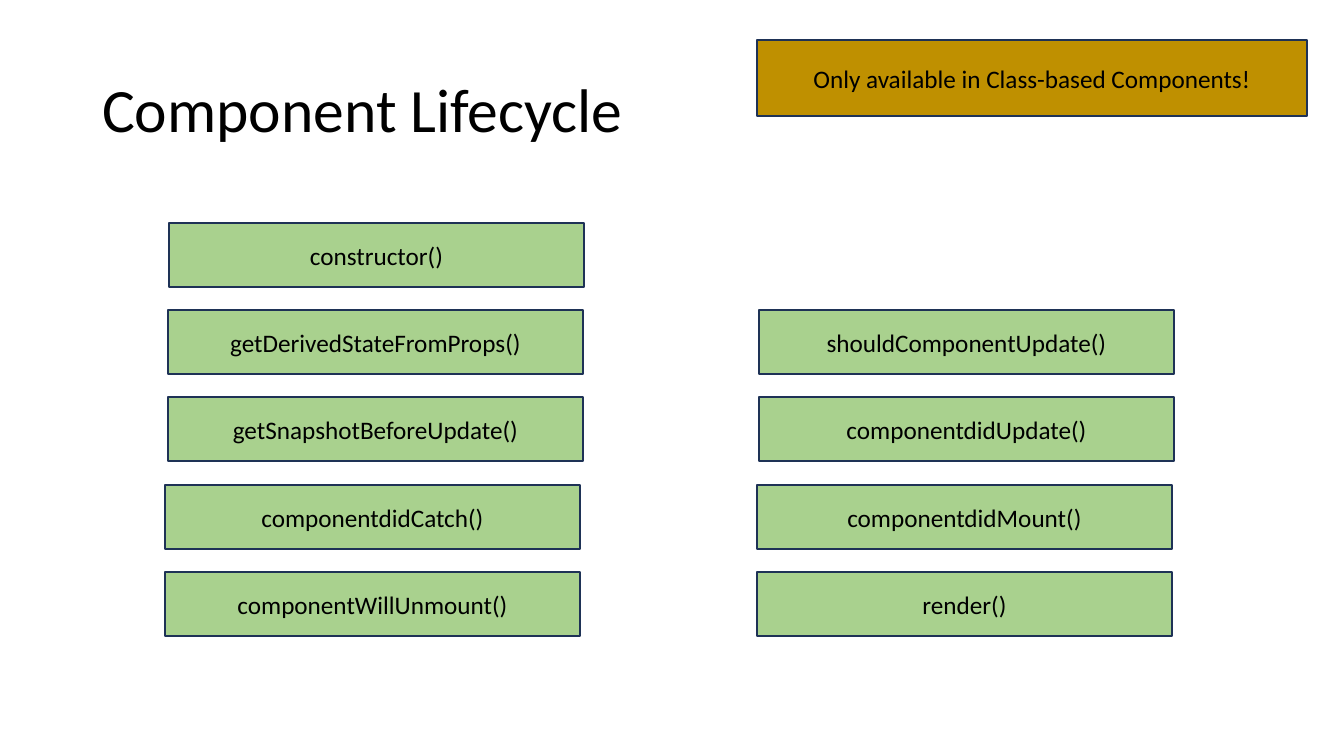
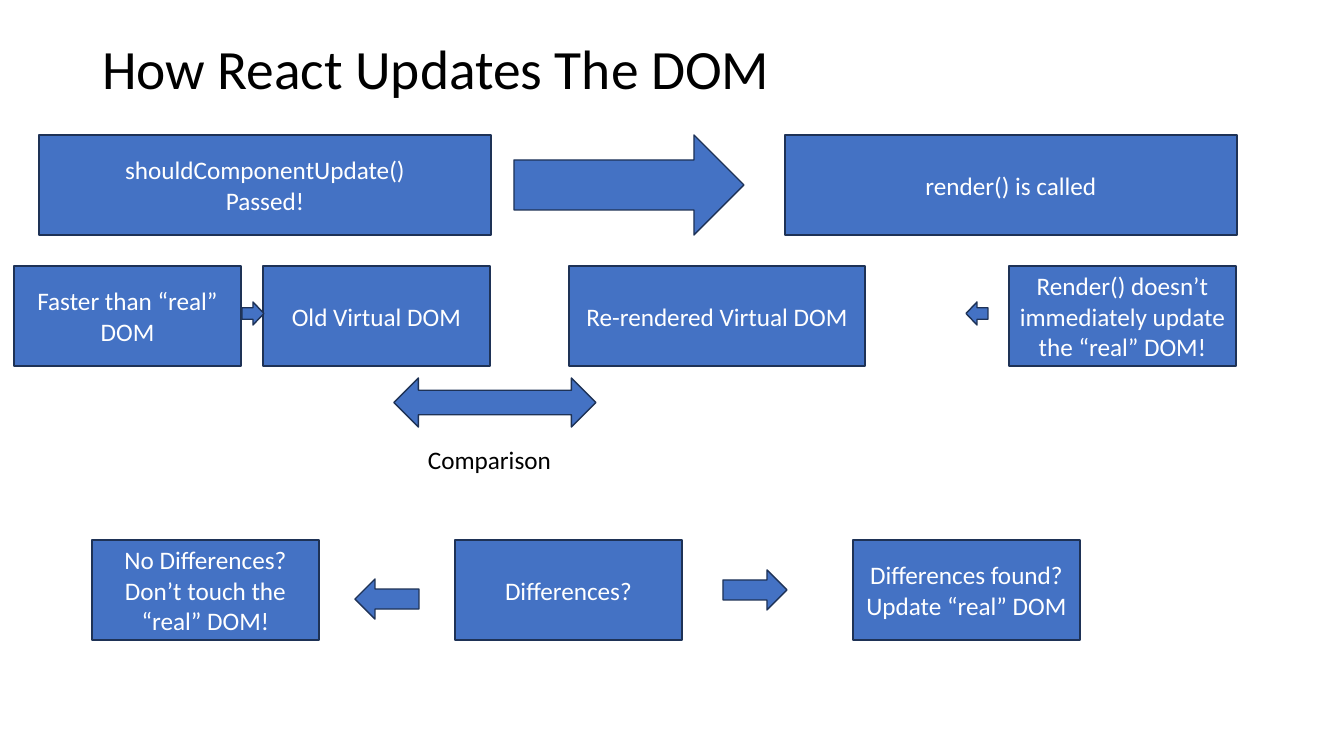
import dataclasses

import pptx
import pptx.dml.color
import pptx.enum.shapes
import pptx.enum.text
import pptx.util

SHAPE = pptx.enum.shapes.MSO_SHAPE
ALIGN = pptx.enum.text.PP_ALIGN
ANCHOR = pptx.enum.text.MSO_ANCHOR
AUTO_SIZE = pptx.enum.text.MSO_AUTO_SIZE
EMU_PER_PX = pptx.util.Inches(1) / 100.8
TITLE_ONLY = 5


def px(length):
    return pptx.util.Emu(round(length * EMU_PER_PX))


@dataclasses.dataclass(frozen=True)
class Theme:
    font: str = "Calibri"
    dark: str = "000000"
    light: str = "FFFFFF"
    outline: str = "1E3256"
    blue: str = "4472C4"
    green: str = "A9D18E"
    gold: str = "BF9000"
    body_size: float = 18
    title_size: float = 44
    small_title_size: float = 39.6
    outline_width: float = 1


class Deck:
    """Holds the theme and the slide being filled."""

    def __init__(self, theme):
        self.theme = theme
        self.presentation = pptx.Presentation()
        self.presentation.slide_width = px(1344)
        self.presentation.slide_height = px(756)
        self.slide = None

    def set_text(self, shape, text, size, color, frame_format, paragraph_format):
        """Fill a shape with text, one paragraph per line."""
        frame = shape.text_frame
        frame.text = text
        for name, value in frame_format.items():
            setattr(frame, name, value)
        font_format = {"name": self.theme.font, "size": pptx.util.Pt(size)}
        for paragraph in frame.paragraphs:
            for name, value in paragraph_format.items():
                setattr(paragraph, name, value)
            for run in paragraph.runs:
                for name, value in font_format.items():
                    setattr(run.font, name, value)
                run.font.color.rgb = pptx.dml.color.RGBColor.from_string(color)

    def add_slide(self, title, width, height, size):
        layout = self.presentation.slide_layouts[TITLE_ONLY]
        self.slide = self.presentation.slides.add_slide(layout)
        placeholder = self.slide.shapes.title
        bounds = {"left": 92, "top": 40, "width": width, "height": height}
        for name, value in bounds.items():
            setattr(placeholder, name, px(value))
        self.set_text(
            placeholder, title, size, self.theme.dark,
            {"vertical_anchor": ANCHOR.MIDDLE, "auto_size": AUTO_SIZE.NONE},
            {"alignment": ALIGN.LEFT, "line_spacing": 0.9},
        )

    def add_block(self, kind, bounds, fill):
        """Add a filled, outlined preset shape."""
        shape = self.slide.shapes.add_shape(kind, *map(px, bounds))
        shape.shadow.inherit = False
        shape.fill.solid()
        shape.fill.fore_color.rgb = pptx.dml.color.RGBColor.from_string(fill)
        shape.line.color.rgb = pptx.dml.color.RGBColor.from_string(self.theme.outline)
        shape.line.width = pptx.util.Pt(self.theme.outline_width)
        return shape

    def add_box(self, text, bounds, fill, color):
        box = self.add_block(SHAPE.RECTANGLE, bounds, fill)
        self.set_text(
            box, text, self.theme.body_size, color,
            {"vertical_anchor": ANCHOR.MIDDLE, "word_wrap": True},
            {"alignment": ALIGN.CENTER},
        )

    def add_arrow(self, bounds, kind=SHAPE.RIGHT_ARROW, rotation=0):
        arrow = self.add_block(kind, bounds, self.theme.blue)
        arrow.rotation = rotation

    def add_label(self, text, bounds):
        label = self.slide.shapes.add_textbox(*map(px, bounds))
        self.set_text(
            label, text, self.theme.body_size, self.theme.dark,
            {"word_wrap": False, "auto_size": AUTO_SIZE.SHAPE_TO_FIT_TEXT},
            {"alignment": ALIGN.LEFT},
        )


def build_lifecycle(deck):
    theme = deck.theme
    deck.add_slide("Component Lifecycle", 1159, 146, theme.title_size)
    deck.add_box("Only available in Class-based Components!",
                 (757, 40, 550, 76), theme.gold, theme.dark)
    # Each method: left edge, row, name
    methods = [
        (169, 0, "constructor()"),
        (168, 1, "getDerivedStateFromProps()"),
        (168, 2, "getSnapshotBeforeUpdate()"),
        (165, 3, "componentdidCatch()"),
        (165, 4, "componentWillUnmount()"),
        (759, 1, "shouldComponentUpdate()"),
        (759, 2, "componentdidUpdate()"),
        (757, 3, "componentdidMount()"),
        (757, 4, "render()"),
    ]
    first_top, last_top, last_row = 223, 572, 4
    for left, row, name in methods:
        top = first_top + round((last_top - first_top) * row / last_row)
        deck.add_box(name, (left, top, 415, 64), theme.green, theme.dark)


def build_dom_update(deck):
    theme = deck.theme
    deck.add_slide("How React Updates The DOM", 1086, 64, theme.small_title_size)
    height, narrow, wide = 100, 227, 452
    # Each row: top edge, then left edge, width and text of its boxes
    rows = [
        (135, [(39, wide, "shouldComponentUpdate()\nPassed!"),
               (785, wide, "render() is called")]),
        (266, [(14, narrow, "Faster than “real” DOM"),
               (263, narrow, "Old Virtual DOM"),
               (569, 296, "Re-rendered Virtual DOM"),
               (1009, narrow, "Render() doesn’t immediately update the “real” DOM!")]),
        (540, [(92, narrow, "No Differences? Don’t touch the “real” DOM!"),
               (455, narrow, "Differences?"),
               (853, narrow, "Differences found?\nUpdate “real” DOM")]),
    ]
    for top, boxes in rows:
        for left, width, text in boxes:
            deck.add_box(text, (left, top, width, height), theme.blue, theme.light)

    deck.add_arrow((514, 135, 230, height))
    deck.add_arrow((242, 302, 22, 23))
    deck.add_arrow((966, 302, 22, 23), rotation=180)
    deck.add_arrow((394, 378, 202, 49), SHAPE.LEFT_RIGHT_ARROW)
    deck.add_arrow((355, 579, 64, 40), rotation=180)
    deck.add_arrow((723, 570, 64, 40))
    deck.add_label("Comparison", (418, 439, 145, 40))


def main():
    deck = Deck(Theme())
    build_lifecycle(deck)
    build_dom_update(deck)
    deck.presentation.save("out.pptx")


if __name__ == "__main__":
    main()
